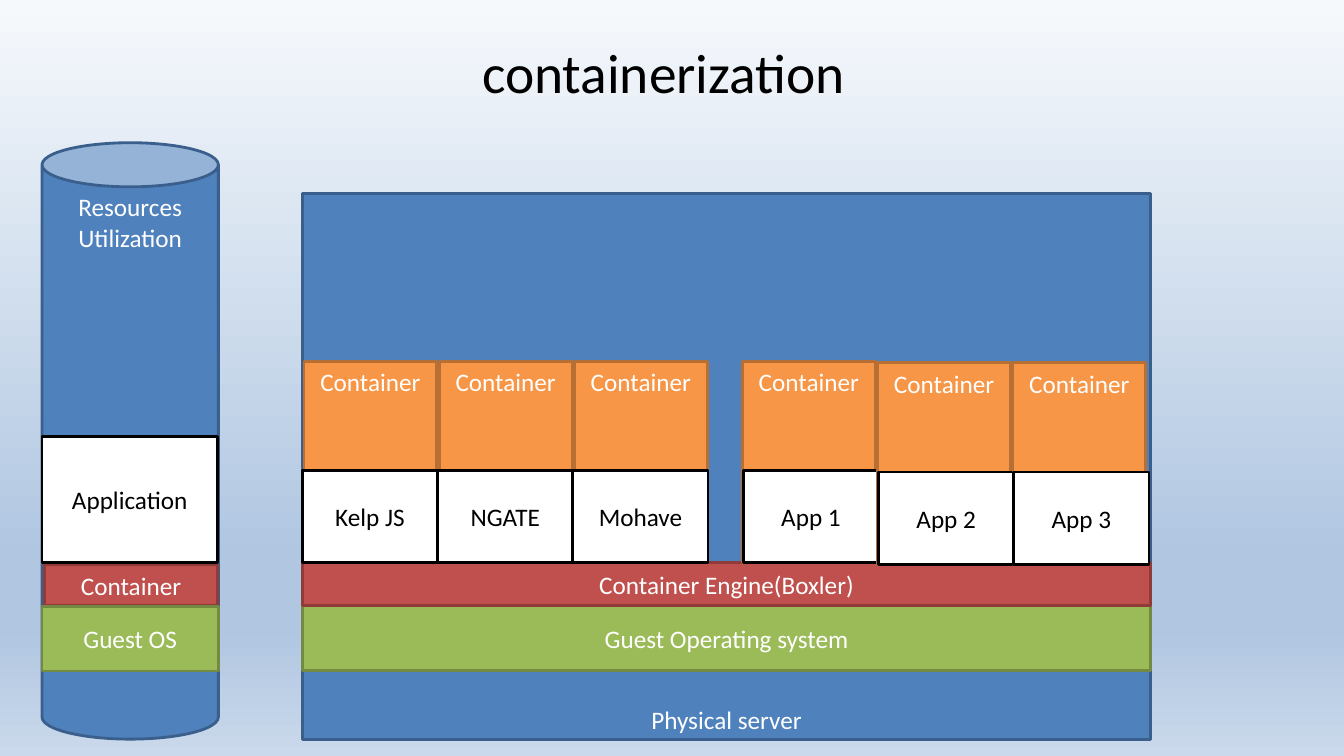
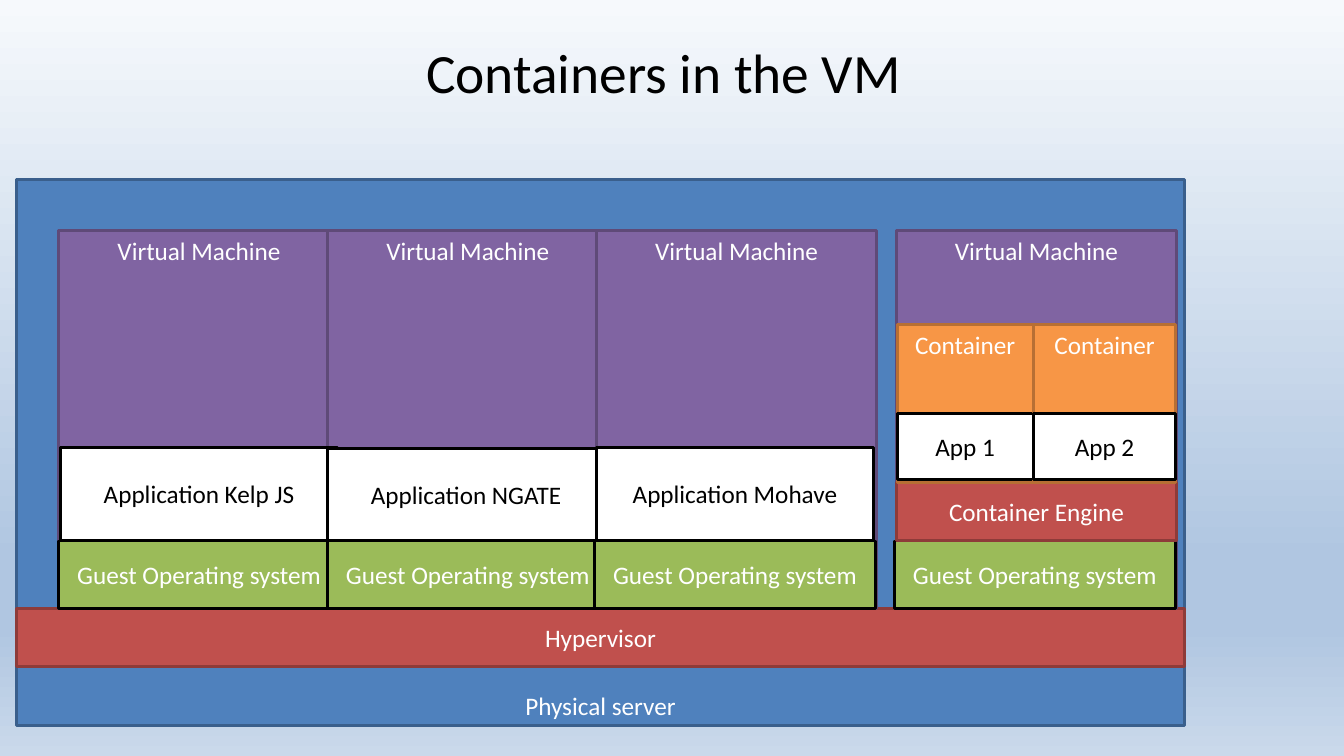
"""Two slides that stack containers and virtual machines on a physical server."""
from dataclasses import dataclass

from lxml import etree
from pptx import Presentation
from pptx.dml.color import RGBColor
from pptx.enum.shapes import MSO_SHAPE
from pptx.enum.text import MSO_ANCHOR, MSO_AUTO_SIZE, PP_ALIGN
from pptx.oxml.ns import qn
from pptx.slide import Slide, SlideMaster
from pptx.text.text import TextFrame
from pptx.util import Emu, Pt

RECT, CAN = MSO_SHAPE.RECTANGLE, MSO_SHAPE.CAN
TOP, MID, LOW = MSO_ANCHOR.TOP, MSO_ANCHOR.MIDDLE, MSO_ANCHOR.BOTTOM
CENTER, NO_FIT = PP_ALIGN.CENTER, MSO_AUTO_SIZE.NONE
WIDE, HIGH = Emu(12192000), Emu(6858000)
COLS, ROWS = 160, 90
FONT = "Calibri"
HEX = {
    "black": "000000", "white": "FFFFFF",
    "blue": "4F81BD", "navy": "3A5F8C",
    "green": "9BBB59", "olive": "738A42",
    "orange": "F79646", "rust": "B76F34",
    "red": "C0504D", "brick": "8E3B39",
    "purple": "8064A2", "plum": "5F4A78",
}
SKY = ((0, "F6F9FC"), (74, "B0C6E1"), (83, "B0C6E1"), (100, "CAD9EB"))
TOOLS = ("Kelp JS", "NGATE", "Mohave")


@dataclass(frozen=True)
class Look:
    """Colours and text anchor of one kind of box."""
    fill: str
    line: str
    ink: str = "white"
    anchor: MSO_ANCHOR = MID


@dataclass(frozen=True)
class Box:
    """A labelled box, placed in grid columns and rows."""
    text: str
    look: Look
    x: float
    y: float
    w: float
    h: float
    kind: MSO_SHAPE = RECT


SERVER = Look("blue", "navy", anchor=LOW)
STORE = Look("blue", "navy", anchor=TOP)
SYSTEM = Look("green", "olive")
GUEST = Look("green", "black")
ENGINE = Look("red", "brick")
CRATE = Look("orange", "rust", anchor=TOP)
VM = Look("purple", "plum", anchor=TOP)
APP = Look("white", "black", ink="black")


def paint(name: str) -> RGBColor:
    """Return a named colour."""
    return RGBColor.from_string(HEX[name])


def across(cols: float) -> Emu:
    """Turn columns into a length."""
    return Emu(round(WIDE * cols / COLS))


def down(rows: float) -> Emu:
    """Turn rows into a length."""
    return Emu(round(HIGH * rows / ROWS))


def write(frame: TextFrame, text: str, *, size: float = 18,
          ink: str = "white", anchor: MSO_ANCHOR = MID) -> None:
    """Put one centred line of text into a frame."""
    frame.word_wrap = True
    frame.auto_size = NO_FIT
    frame.vertical_anchor = anchor
    line = frame.paragraphs[0]
    line.alignment = CENTER
    run = line.add_run()
    run.text = text
    run.font.name, run.font.size = FONT, Pt(size)
    run.font.color.rgb = paint(ink)


def draw(slide: Slide, box: Box) -> None:
    """Draw one box."""
    look = box.look
    shape = slide.shapes.add_shape(box.kind, across(box.x), down(box.y),
                                   across(box.w), down(box.h))
    shape.shadow.inherit = False
    shape.fill.solid()
    shape.fill.fore_color.rgb = paint(look.fill)
    shape.line.color.rgb = paint(look.line)
    shape.line.width = Pt(2)
    write(shape.text_frame, box.text, ink=look.ink, anchor=look.anchor)


def shade(master: SlideMaster) -> None:
    """Give every slide the sky gradient."""
    fill = master.background.fill
    fill.gradient()
    fill.gradient_angle = 270
    stops = next(master.element.iter(qn("a:gsLst")))
    for stop in list(stops):
        stops.remove(stop)
    for share, tone in SKY:
        stop = etree.SubElement(stops, qn("a:gs"), pos=str(share * 1000))
        etree.SubElement(stop, qn("a:srgbClr"), val=tone)


def page(deck: Presentation, title: str, boxes: list[Box]) -> None:
    """Add a slide with a title and its boxes."""
    slide = deck.slides.add_slide(deck.slide_layouts[5])
    head = slide.shapes.title
    head.left, head.top = across(8), down(3.6)
    head.width, head.height = across(142), down(9.8)
    write(head.text_frame, title, size=39.6, ink="black")
    for box in boxes:
        draw(slide, box)


def pods() -> list[Box]:
    """Lay out the containers that share one engine."""
    boxes = [
        Box("Physical server", SERVER, 36, 23, 101, 65),
        Box("Guest Operating system", SYSTEM, 36, 72.1, 101, 7.7),
        Box("Resources Utilization", STORE, 5, 17, 21, 71, CAN),
        Box("Container", ENGINE, 5.3, 67.2, 20.6, 4.9),
        Box("Guest OS", SYSTEM, 5, 72.2, 21, 7.7),
        Box("Application", APP, 5, 52, 20.9, 15),
        Box("Container Engine(Boxler)", ENGINE, 36, 67, 101, 5.1),
    ]
    groups = ((36.2, -0.2, 0, TOOLS),
              (88.4, 0.1, 0.2, ("App 1", "App 2", "App 3")))
    for left, shift, drop, names in groups:
        for i, name in enumerate(names):
            x, dy = left + 16.1 * i, drop if i else 0
            boxes += [Box("Container", CRATE, x, 43 + dy, 15.8, 24),
                      Box(name, APP, x + shift, 56 + dy, 16.1, 11)]
    return boxes


def nest() -> list[Box]:
    """Lay out the virtual machines, the last one with containers."""
    lefts = (7, 39, 71, 106.7)
    boxes = [
        Box("Physical server", SERVER, 2, 21.4, 139, 65),
        Box("Hypervisor", ENGINE, 2, 72.4, 139, 7),
    ]
    boxes += [Box("Virtual Machine", VM, x, 27.4, 33.4, 45) for x in lefts]
    boxes += [Box("Guest Operating system", GUEST, x - 0.2 * (i > 1), 64.4, 33.4, 8)
              for i, x in enumerate(lefts)]
    boxes += [Box(f"Application {name}", APP, x + 0.2 * (i == 0),
                  53.3 + 0.1 * (i == 1), 33, 11)
              for i, (x, name) in enumerate(zip(lefts, TOOLS))]
    boxes.append(Box("Container Engine", ENGINE, lefts[-1], 57.4, 33.4, 7))
    for name, x, wide in (("App 1", 106.8, 16.2), ("App 2", 123, 17)):
        boxes += [Box("Container", CRATE, x, 38.6, wide, 18.8),
                  Box(name, APP, x, 49.2, wide, 7.9)]
    return boxes


def main() -> None:
    """Build and save the deck."""
    deck = Presentation()
    deck.slide_width, deck.slide_height = WIDE, HIGH
    shade(deck.slide_master)
    page(deck, "containerization", pods())
    page(deck, "Containers in the VM", nest())
    deck.save("out.pptx")


main()
